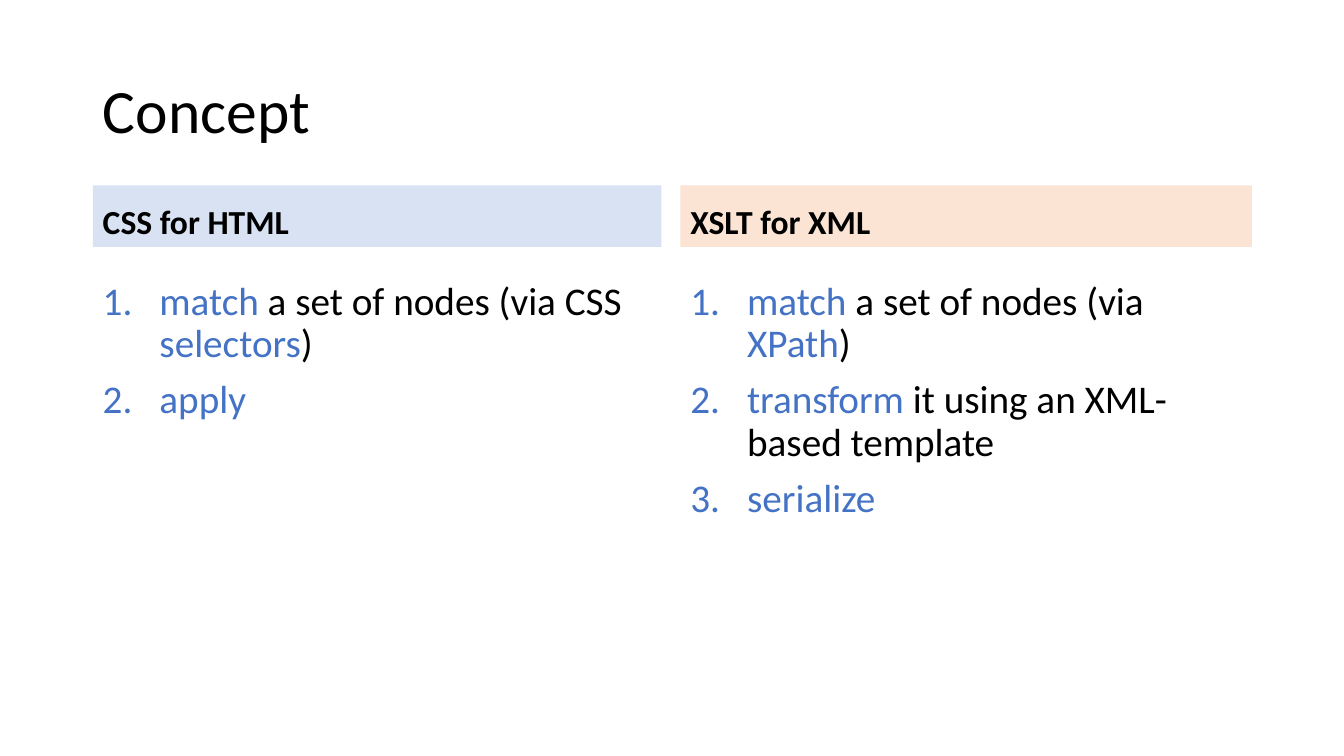
"""Build the Concept slide comparing CSS for HTML with XSLT for XML."""
from lxml import etree
from pptx import Presentation
from pptx.dml.color import RGBColor
from pptx.enum.shapes import MSO_SHAPE
from pptx.enum.text import MSO_ANCHOR, MSO_AUTO_SIZE, PP_ALIGN
from pptx.oxml.ns import qn
from pptx.util import Cm, Pt

RECTANGLE = MSO_SHAPE.RECTANGLE
MIDDLE, BOTTOM, TOP = MSO_ANCHOR.MIDDLE, MSO_ANCHOR.BOTTOM, MSO_ANCHOR.TOP
NO_AUTOFIT = MSO_AUTO_SIZE.NONE
LEFT = PP_ALIGN.LEFT
BLACK = RGBColor(0x00, 0x00, 0x00)
BLUE = RGBColor(0x44, 0x72, 0xC4)
PALE_BLUE = RGBColor(0xD8, 0xE2, 0xF3)
PALE_ORANGE = RGBColor(0xFB, 0xE4, 0xD4)

COLUMNS = [
    (2.34, 14.33, PALE_BLUE, "CSS for HTML", [
        [("match", BLUE), (" a set of nodes (via CSS ", BLACK),
         ("selectors", BLUE), (")", BLACK)],
        [("apply", BLUE)],
    ]),
    (17.15, 14.4, PALE_ORANGE, "XSLT for XML", [
        [("match", BLUE), (" a set of nodes (via ", BLACK),
         ("XPath", BLUE), (")", BLACK)],
        [("transform", BLUE), (" it using an XML-based template", BLACK)],
        [("serialize", BLUE)],
    ]),
]


def write(frame, paragraphs, size, anchor, bold=False, numbered=False):
    """Fill a text frame with paragraphs made of (text, colour) runs."""
    frame.word_wrap = True
    frame.auto_size = NO_AUTOFIT
    frame.vertical_anchor = anchor
    for index, runs in enumerate(paragraphs):
        paragraph = frame.add_paragraph() if index else frame.paragraphs[0]
        paragraph.alignment = LEFT
        paragraph.line_spacing = 0.9
        paragraph.space_before = Pt(10 if index else 0)
        for text, colour in runs:
            run = paragraph.add_run()
            run.text = text
            run.font.name = "Calibri"
            run.font.size = Pt(size)
            run.font.bold = bold
            run.font.color.rgb = colour
        if numbered:
            properties = paragraph._p.get_or_add_pPr()
            properties.set("marL", str(Cm(1.43)))
            properties.set("indent", str(-Cm(1.43)))
            number_colour = etree.SubElement(properties, qn("a:buClr"))
            etree.SubElement(number_colour, qn("a:srgbClr"), val=str(BLUE))
            etree.SubElement(properties, qn("a:buFont"), typeface="+mj-lt")
            etree.SubElement(properties, qn("a:buAutoNum"), type="arabicPeriod")


presentation = Presentation()
presentation.slide_width = Cm(33.87)
presentation.slide_height = Cm(19.05)
slide = presentation.slides.add_slide(presentation.slide_layouts[5])

title = slide.shapes.title
title.left, title.top, title.width, title.height = Cm(2.34), Cm(1.02), Cm(29.21), Cm(3.68)
write(title.text_frame, [[("Concept", BLACK)]], 44, MIDDLE)

for left, width, fill, heading, steps in COLUMNS:
    header = slide.shapes.add_shape(RECTANGLE, Cm(left), Cm(4.67), Cm(width), Cm(1.55))
    header.shadow.inherit = False
    header.fill.solid()
    header.fill.fore_color.rgb = fill
    header.line.fill.background()
    write(header.text_frame, [[(heading, BLACK)]], 24, BOTTOM, bold=True)

    step_list = slide.shapes.add_textbox(Cm(left), Cm(6.96), Cm(width), Cm(10.24))
    write(step_list.text_frame, steps, 28, TOP, numbered=True)

presentation.save("out.pptx")
